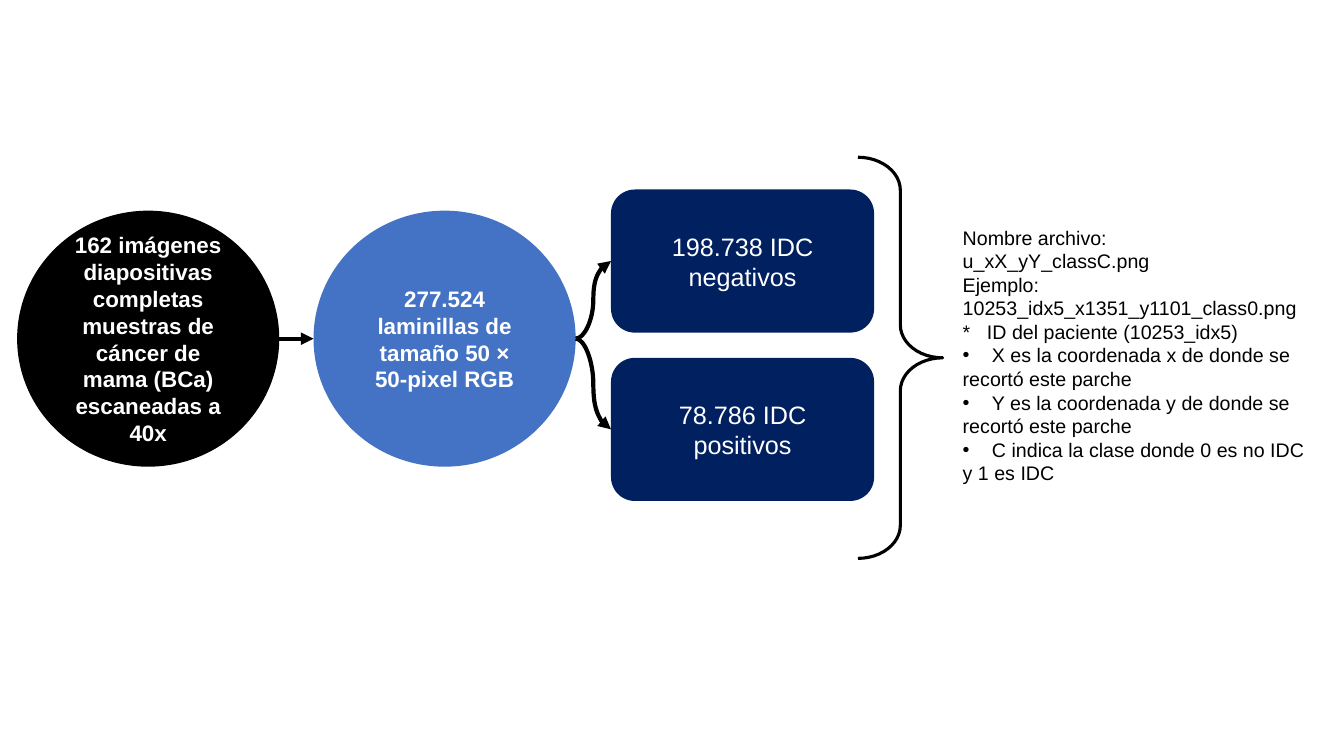
from pptx import Presentation
from pptx.dml.color import RGBColor
from pptx.enum.shapes import MSO_CONNECTOR as Link, MSO_SHAPE as Kind
from pptx.enum.text import MSO_ANCHOR as Anchor, MSO_AUTO_SIZE as Fit, PP_ALIGN as Align
from pptx.oxml.ns import qn
from pptx.util import Inches, Pt
from lxml.etree import SubElement

BLACK = RGBColor(0, 0, 0)
WHITE = RGBColor(255, 255, 255)
BLUE = RGBColor(0x44, 0x72, 0xC4)
NAVY = RGBColor(0, 0x20, 0x60)

# Content
STEPS = [
    ("162 imágenes diapositivas completas muestras de cáncer de mama (BCa) escaneadas a 40x", BLACK),
    ("277.524 laminillas de tamaño 50 × 50-pixel RGB", BLUE),
]
GROUPS = ["198.738 IDC negativos", "78.786 IDC positivos"]
# text, bullet, tab stop in inches
NOTES = [
    ("Nombre archivo:", None, None),
    ("u_xX_yY_classC.png", None, None),
    ("Ejemplo: 10253_idx5_x1351_y1101_class0.png", None, None),
    ("*\tID del paciente (10253_idx5)", None, 0.24),
    ("\tX es la coordenada x de donde se recortó este parche", "•", 0.29),
    ("\tY es la coordenada y de donde se recortó este parche", "•", 0.29),
    ("\tC indica la clase donde 0 es no IDC y 1 es IDC", "•", 0.29),
]

# Layout, in inches
LEFT, TOP, WIDE, HIGH, STEP = 0.17, 2.09, 2.6, 2.54, 2.94
BOX_X, BOX_Y, BOX_W, BOX_H, BOX_STEP = 6.06, 1.88, 2.61, 1.42, 1.67
MID = TOP + HIGH / 2
FORK = LEFT + STEP + WIDE

prs = Presentation()
prs.slide_width, prs.slide_height = Inches(13.33), Inches(7.5)
slide = prs.slides.add_slide(prs.slide_layouts[6])
shapes = slide.shapes


def write(para, text, size=14, color=BLACK, bold=False, align=Align.LEFT, bullet=None, tab=None):
    para.alignment = align
    run = para.add_run()
    run.text = text
    font = run.font
    font.name, font.size, font.bold = "Arial", Pt(size), bold
    font.color.rgb = color
    props = para._p.get_or_add_pPr()
    if bullet:
        props.set("marL", "0")
        props.set("indent", "0")
        SubElement(props, qn("a:buFont"), typeface="Arial")
        SubElement(props, qn("a:buChar"), char=bullet)
    if tab:
        stops = SubElement(props, qn("a:tabLst"))
        SubElement(stops, qn("a:tab"), pos=str(Inches(tab)), algn="l")


def block(kind, x, y, w, h, fill, text, **style):
    shape = shapes.add_shape(kind, Inches(x), Inches(y), Inches(w), Inches(h))
    shape.shadow.inherit = False
    shape.fill.solid()
    shape.fill.fore_color.rgb = fill
    shape.line.fill.background()
    frame = shape.text_frame
    frame.word_wrap, frame.vertical_anchor = True, Anchor.MIDDLE
    write(frame.paragraphs[0], text, color=WHITE, align=Align.CENTER, **style)


def arrow(kind, x1, y1, x2, y2):
    link = shapes.add_connector(kind, Inches(x1), Inches(y1), Inches(x2), Inches(y2))
    link.line.color.rgb = BLACK
    link.line.width = Pt(3)
    SubElement(link.line._get_or_add_ln(), qn("a:tailEnd"), type="triangle")
    SubElement(link._element.spPr, qn("a:effectLst"))


# Circles and the arrow between them
for i, (text, fill) in enumerate(STEPS):
    block(Kind.OVAL, LEFT + i * STEP, TOP, WIDE, HIGH, fill, text, size=16, bold=True)
arrow(Link.STRAIGHT, LEFT + WIDE, MID, LEFT + STEP, MID)

# Class boxes, each with its curved arrow
for i, text in enumerate(GROUPS):
    y = BOX_Y + i * BOX_STEP
    block(Kind.ROUNDED_RECTANGLE, BOX_X, y, BOX_W, BOX_H, NAVY, text, size=18)
    arrow(Link.CURVE, FORK, MID, BOX_X, y + BOX_H / 2)

# Brace
brace = shapes.add_shape(Kind.RIGHT_BRACE, Inches(8.51), Inches(1.56), Inches(0.84), Inches(3.98))
brace.shadow.inherit = False
brace.adjustments[0], brace.adjustments[1] = 0.39, 0.5
brace.fill.background()
brace.line.color.rgb = BLACK
brace.line.width = Pt(2.25)

# File name notes
frame = shapes.add_textbox(Inches(9.45), Inches(2.19), Inches(3.69), Inches(2.69)).text_frame
frame.word_wrap, frame.auto_size = True, Fit.SHAPE_TO_FIT_TEXT
for i, (text, bullet, tab) in enumerate(NOTES):
    para = frame.add_paragraph() if i else frame.paragraphs[0]
    write(para, text, bullet=bullet, tab=tab)

prs.save("out.pptx")
